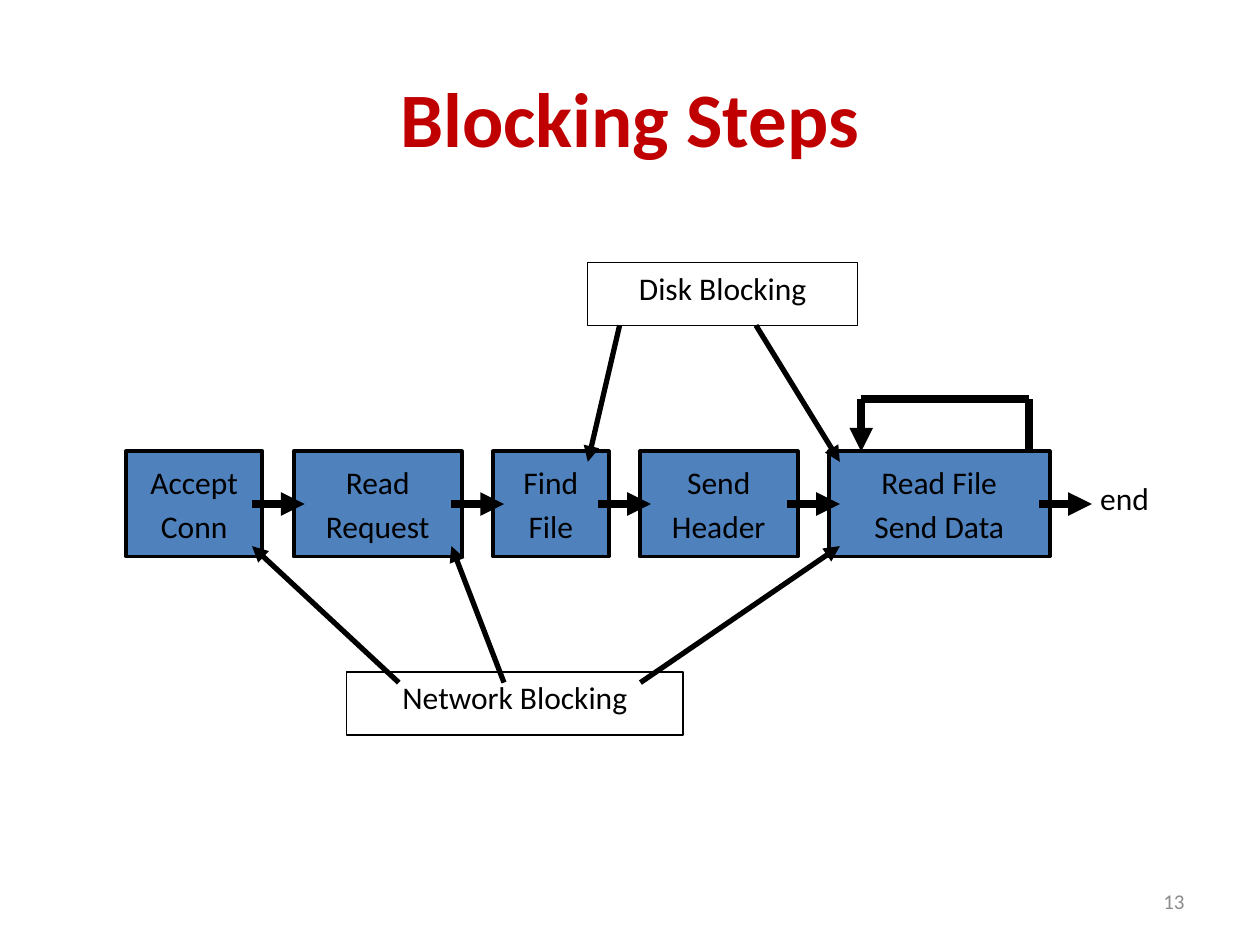
from dataclasses import dataclass

from lxml.etree import SubElement
from pptx import Presentation
from pptx.dml.color import RGBColor
from pptx.enum.shapes import MSO_CONNECTOR, MSO_SHAPE
from pptx.enum.text import MSO_ANCHOR, PP_ALIGN
from pptx.oxml.ns import qn
from pptx.util import Cm, Pt


@dataclass(frozen=True)
class Theme:
    font: str = "Calibri"
    ink: RGBColor = RGBColor(0x00, 0x00, 0x00)
    title: RGBColor = RGBColor(0xC0, 0x00, 0x00)
    step: RGBColor = RGBColor(0x4F, 0x81, 0xBD)
    muted: RGBColor = RGBColor(0x8C, 0x8C, 0x8C)
    title_size: Pt = Pt(44)
    body_size: Pt = Pt(18)
    number_size: Pt = Pt(12)
    body_gap: Pt = Pt(3.6)
    box_line: Pt = Pt(2.25)
    label_line: Pt = Pt(0.75)
    flow_line: Pt = Pt(4.5)
    cause_line: Pt = Pt(3)


THEME = Theme()

STEPS = [  # text, width in cm
    ("Accept\nConn", 2.75),
    ("Read\nRequest", 3.39),
    ("Find\nFile", 2.33),
    ("Send\nHeader", 3.18),
    ("Read File\nSend Data", 4.45),
]
STEP_LEFT, STEP_TOP, STEP_HEIGHT, STEP_GAP = 2.54, 9.1, 2.12, 0.63
FLOW_Y = STEP_TOP + STEP_HEIGHT / 2
FLOW_LENGTH = 1.06
INSET = 0.21  # how far arrows reach into the boxes


def write(shape, text, size=THEME.body_size, color=THEME.ink, bold=False,
          align=PP_ALIGN.CENTER, anchor=MSO_ANCHOR.MIDDLE, wrap=False,
          gap=THEME.body_gap):
    frame = shape.text_frame
    frame.text = text
    frame.word_wrap = wrap
    frame.vertical_anchor = anchor
    for paragraph in frame.paragraphs:
        paragraph.alignment = align
        paragraph.space_before = gap
        font = paragraph.font
        font.name, font.size, font.bold = THEME.font, size, bold
        font.color.rgb = color


def add_text(slide, text, left, top, width, height, **text_format):
    area = slide.shapes.add_textbox(Cm(left), Cm(top), Cm(width), Cm(height))
    write(area, text, **text_format)


def add_box(slide, text, left, top, width, height, line, fill=None, **text_format):
    box = slide.shapes.add_shape(
        MSO_SHAPE.RECTANGLE, Cm(left), Cm(top), Cm(width), Cm(height))
    box.shadow.inherit = False
    if fill is None:
        box.fill.background()
    else:
        box.fill.solid()
        box.fill.fore_color.rgb = fill
    box.line.color.rgb = THEME.ink
    box.line.width = line
    write(box, text, **text_format)


def add_line(slide, start, end, width, arrow=True):
    line = slide.shapes.add_connector(
        MSO_CONNECTOR.STRAIGHT, *(Cm(value) for value in (*start, *end)))
    line.line.color.rgb = THEME.ink
    line.line.width = width
    if arrow:
        SubElement(line.line._get_or_add_ln(), qn("a:tailEnd"), type="triangle")
    SubElement(line._element.spPr, qn("a:effectLst"))


def add_steps(slide):
    """Draw the row of steps, then the arrow that leaves each one."""
    left, exits = STEP_LEFT, []
    for text, width in STEPS:
        add_box(slide, text, left, STEP_TOP, width, STEP_HEIGHT,
                THEME.box_line, THEME.step)
        exits.append(left + width - INSET)
        left += width + STEP_GAP
    for x in exits:
        add_line(slide, (x, FLOW_Y), (x + FLOW_LENGTH, FLOW_Y), THEME.flow_line)


def add_repeat_loop(slide, left=17.36, right=20.74, top=8.04):
    add_line(slide, (left, top), (left, STEP_TOP), THEME.flow_line)
    add_line(slide, (left, top), (right, top), THEME.flow_line, arrow=False)
    add_line(slide, (right, STEP_TOP), (right, top), THEME.flow_line, arrow=False)


def add_cause(slide, text, left, top, width, start_y, end_y, links):
    """Draw a labelled cause and its arrows, given as (start x, end x)."""
    add_box(slide, text, left, top, width, 1.27, THEME.label_line,
            anchor=MSO_ANCHOR.TOP)
    for start_x, end_x in links:
        add_line(slide, (start_x, start_y), (end_x, end_y), THEME.cause_line)


def main():
    presentation = Presentation()
    presentation.slide_width, presentation.slide_height = Cm(25.4), Cm(19.05)
    slide = presentation.slides.add_slide(presentation.slide_layouts[6])

    add_text(slide, "13", 18.2, 17.66, 5.93, 1.01, size=THEME.number_size,
             color=THEME.muted, align=PP_ALIGN.RIGHT, wrap=True, gap=Pt(0))
    add_text(slide, "Blocking Steps", 1.27, 0.76, 22.86, 3.18, bold=True,
             size=THEME.title_size, color=THEME.title, wrap=True, gap=Pt(0))
    add_steps(slide)
    add_text(slide, "end", 21.92, 9.53, 1.5, 1.02, anchor=MSO_ANCHOR.TOP)
    add_repeat_loop(slide)

    step_bottom = STEP_TOP + STEP_HEIGHT
    add_cause(slide, "Network Blocking", 6.99, 13.55, 6.78,
              13.76, step_bottom - INSET,
              [(8.04, 5.08), (10.16, 9.1), (12.91, 16.93)])
    add_cause(slide, "Disk Blocking", 11.85, 5.29, 5.44,
              6.56, STEP_TOP + INSET,
              [(12.49, 11.85), (15.24, 16.93)])

    presentation.save("out.pptx")


if __name__ == "__main__":
    main()
